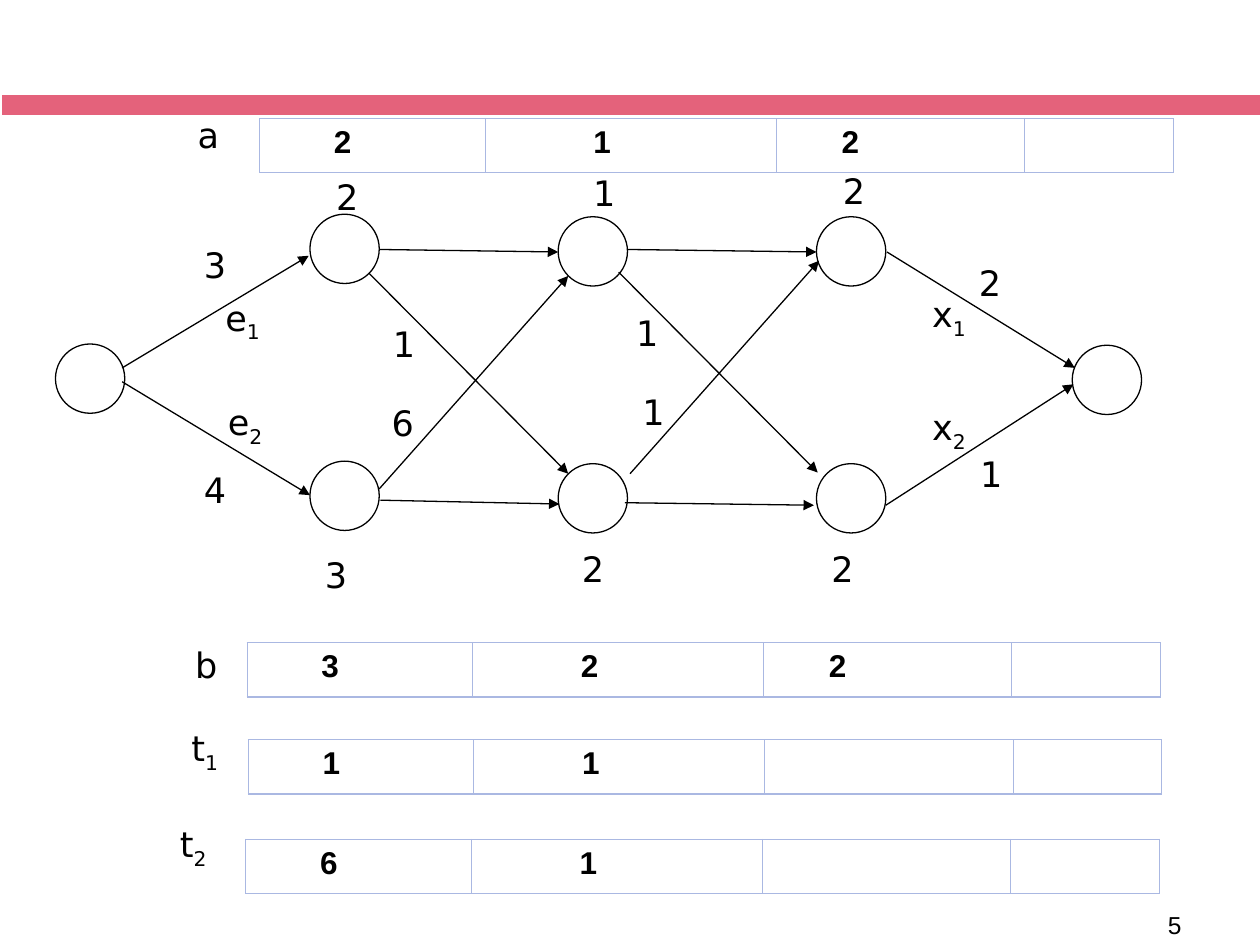
from lxml import etree
from pptx import Presentation
from pptx.dml.color import RGBColor
from pptx.enum.shapes import MSO_CONNECTOR, MSO_SHAPE
from pptx.oxml.ns import qn
from pptx.util import Inches, Pt

RECT, OVAL = MSO_SHAPE.RECTANGLE, MSO_SHAPE.OVAL
STRAIGHT = MSO_CONNECTOR.STRAIGHT
BLACK, WHITE, PINK, GRID = "000000", "FFFFFF", "E4627B", "AAB8E2"
LABEL_FONT, BODY_FONT = "DejaVu Sans", "Arial"

# Stations: two assembly lines of three, plus entry and exit
NODE_SIZE = 0.55
STATION_COLUMNS = [(2.46, 1.70), (4.43, 1.72), (6.48, 1.72)]
LINE_GAP = 1.96
TERMINALS = [(0.44, 2.73), (8.51, 2.74)]

# Arrows: from x, y to x, y
ARROWS = [
    (3.01, 1.98, 4.43, 2.00), (4.98, 1.98, 6.48, 2.00),  # along the top line
    (3.02, 3.97, 4.44, 4.00), (4.96, 3.99, 6.46, 4.01),  # along the bottom line
    (2.93, 2.17, 4.51, 3.76), (4.91, 2.16, 6.49, 3.75),  # transfers down
    (3.01, 3.88, 4.51, 2.19), (5.00, 3.76, 6.50, 2.07),  # transfers up
    (0.97, 2.92, 2.45, 2.03), (0.97, 3.03, 2.46, 3.93),  # entries
    (7.04, 2.00, 8.53, 2.92), (7.03, 4.01, 8.52, 3.05),  # exits
]

# Labels: text, subscript, left, top
LABELS = [
    ("3", "", 1.52, 1.88), ("4", "", 1.52, 3.67),
    ("2", "", 7.67, 2.03), ("1", "", 7.68, 3.54),
    ("2", "", 2.57, 1.34), ("1", "", 4.61, 1.31), ("2", "", 6.59, 1.30),
    ("3", "", 2.48, 4.34), ("2", "", 4.52, 4.30), ("2", "", 6.50, 4.30),
    ("1", "", 3.02, 2.51), ("1", "", 4.95, 2.42),
    ("6", "", 3.01, 3.14), ("1", "", 5.00, 3.05),
    ("e", "1", 1.69, 2.30), ("e", "2", 1.71, 3.13),
    ("x", "1", 7.30, 2.27), ("x", "2", 7.30, 3.17),
    ("a", "", 1.47, 0.85), ("b", "", 1.45, 5.06),
    ("t", "1", 1.42, 5.72), ("t", "2", 1.33, 6.48),
]

# Arrays: left, top, values
ARRAYS = [
    (2.06, 0.94, ["2", "1", "2", ""]),
    (1.96, 5.10, ["3", "2", "2", ""]),
    (1.97, 5.87, ["1", "1", "", ""]),
    (1.95, 6.66, ["6", "1", "", ""]),
]
COLUMN_WIDTHS = [1.79, 2.31, 1.97, 1.18]
VALUE_INSETS = [0.59, 0.86, 0.52, 0.10]
ROW_HEIGHT = 0.43
BORDERS = [("a:lnL", 0.45), ("a:lnR", 0.45), ("a:lnT", 0.45), ("a:lnB", 0.96)]

prs = Presentation()
prs.slide_width, prs.slide_height = Inches(10), Inches(7.5)
slide = prs.slides.add_slide(prs.slide_layouts[6])
shapes = slide.shapes


def color(value):
    return RGBColor.from_string(value)


def add_run(paragraph, text, size, font, bold=False):
    run = paragraph.add_run()
    run.text = text
    run.font.size, run.font.name, run.font.bold = Pt(size), font, bold
    run.font.color.rgb = color(BLACK)
    return run


def add_outline(kind, left, top, width, height, line, weight, fill=None):
    shape = shapes.add_shape(kind, *map(Inches, (left, top, width, height)))
    shape.shadow.inherit = False
    if fill:
        shape.fill.solid()
        shape.fill.fore_color.rgb = color(fill)
    else:
        shape.fill.background()
    shape.line.color.rgb = color(line)
    shape.line.width = Pt(weight)


def add_arrow(x1, y1, x2, y2):
    arrow = shapes.add_connector(STRAIGHT, *map(Inches, (x1, y1, x2, y2)))
    arrow.line.color.rgb = color(BLACK)
    arrow.line.width = Pt(0.74)
    etree.SubElement(arrow.line._get_or_add_ln(), qn("a:tailEnd"), type="triangle")
    etree.SubElement(arrow._element.spPr, qn("a:effectLst"))


def add_label(text, subscript, left, top, width, height, size=20, font=LABEL_FONT):
    box = shapes.add_textbox(*map(Inches, (left, top, width, height)))
    box.text_frame.word_wrap = True
    paragraph = box.text_frame.paragraphs[0]
    add_run(paragraph, text, size, font)
    if subscript:
        run = add_run(paragraph, subscript, size, font)
        run._r.get_or_add_rPr().set("baseline", "-25000")


def set_borders(cell):
    properties = cell._tc.get_or_add_tcPr()
    for position, (edge, weight) in enumerate(BORDERS):
        border = etree.Element(qn(edge), w=str(Pt(weight)))
        fill = etree.SubElement(border, qn("a:solidFill"))
        etree.SubElement(fill, qn("a:srgbClr"), val=GRID)
        properties.insert(position, border)


def add_array(left, top, values):
    size = (left, top, sum(COLUMN_WIDTHS), ROW_HEIGHT)
    table = shapes.add_table(1, len(values), *map(Inches, size)).table
    table.first_row = table.horz_banding = False
    for i, value in enumerate(values):
        table.columns[i].width = Inches(COLUMN_WIDTHS[i])
        cell = table.cell(0, i)
        cell.margin_left = Inches(VALUE_INSETS[i])
        cell.fill.background()
        set_borders(cell)
        if value:
            add_run(cell.text_frame.paragraphs[0], value, 18, BODY_FONT, True)


# Header band and page number
add_outline(RECT, 0.01, 0.75, 10, 0.17, WHITE, 0.99, PINK)
add_label("5", "", 9.17, 7.17, 0.57, 0.34, 14, BODY_FONT)

# Graph
stations = [(x, y + line * LINE_GAP) for line in range(2) for x, y in STATION_COLUMNS]
for x, y in stations + TERMINALS:
    add_outline(OVAL, x, y, NODE_SIZE, NODE_SIZE, BLACK, 0.74)
for arrow_ends in ARROWS:
    add_arrow(*arrow_ends)

# Arrays and labels
for array in ARRAYS:
    add_array(*array)
for text, subscript, left, top in LABELS:
    width, height = (0.55, 0.48) if subscript else (0.32, 0.44)
    add_label(text, subscript, left, top, width, height)

prs.save("out.pptx")
